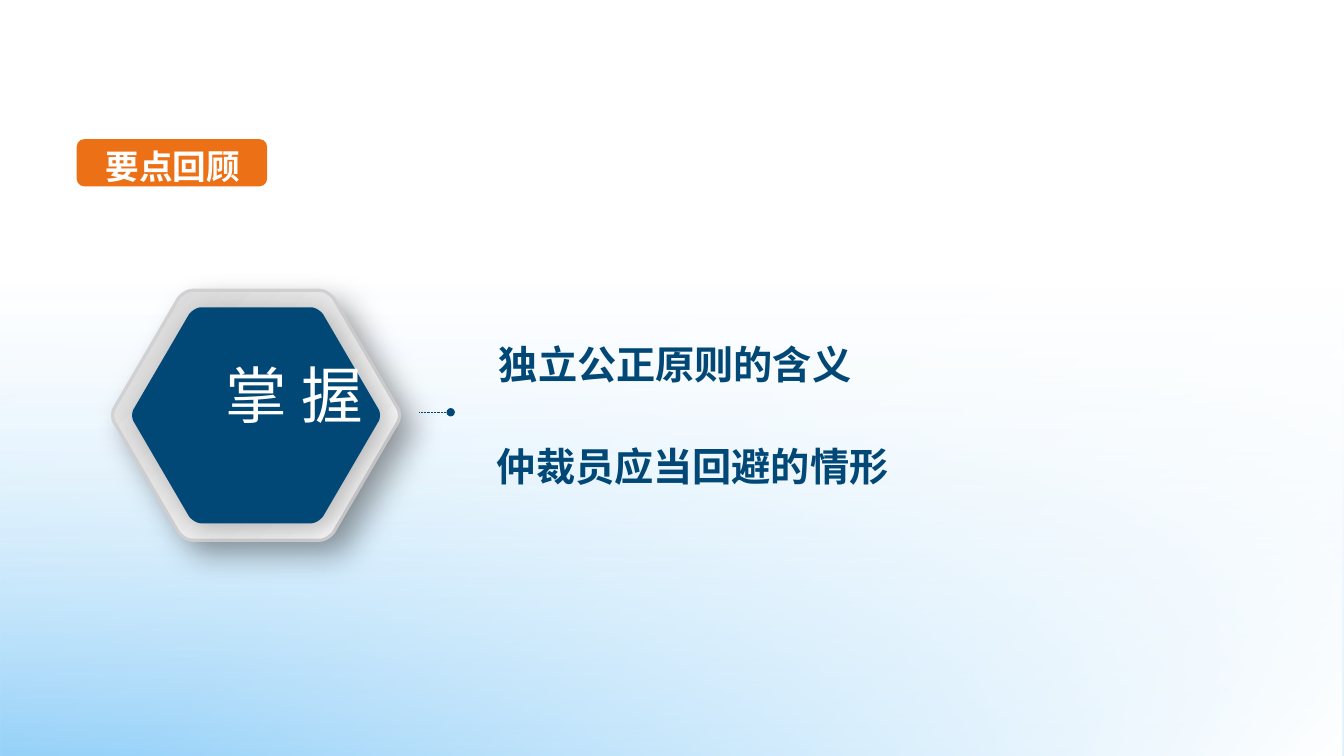
from lxml import etree
from pptx import Presentation
from pptx.dml.color import RGBColor
from pptx.enum.dml import MSO_LINE
from pptx.enum.shapes import MSO_CONNECTOR, MSO_SHAPE
from pptx.enum.text import PP_ALIGN
from pptx.oxml import parse_xml
from pptx.oxml.ns import nsdecls, qn
from pptx.util import Emu, Inches, Pt

RECT, ROUND = MSO_SHAPE.RECTANGLE, MSO_SHAPE.ROUNDED_RECTANGLE
LEFT, CENTER = PP_ALIGN.LEFT, PP_ALIGN.CENTER
WIDTH, HEIGHT = 13.33, 7.5
FONT = "Noto Sans CJK SC"
NAVY, ORANGE, WHITE = "014877", "EC7016", "FFFFFF"

# Content: text, box, size, colour, bold, alignment, line spacing
TEXTS = [
    ("要点回顾", (0.95, 1.36, 2.32, 0.51), 24, WHITE, True, LEFT, 1.1),
    ("掌 握", (2.14, 3.49, 1.71, 0.84), 44, WHITE, False, LEFT, 1.0),
    ("独立公正原则的含义", (4.85, 3.33, 4.3, 0.57), 28, NAVY, True, LEFT, 1.0),
    ("仲裁员应当回避的情形", (4.32, 4.25, 5.1, 0.66), 28, NAVY, True, CENTER, 1.2),
]
# Gradients: angle, then stops of position %, colour, opacity %
WASHES = [
    (90, [(0, WHITE, 0), (37, WHITE, 25), (100, "67BDF6", 88)]),
    (45, [(0, WHITE, 0), (42, WHITE, 25), (100, WHITE, 100)]),
]
SILVER = (45, [(0, "D9D9DA", 100), (100, WHITE, 100)])
TAG_BOX = (0.76, 1.38, 1.89, 0.47)
# Rounded hexagon: centre, and Bezier corners (right, lower right) from the centre
HEX_CENTER = (2.54, 4.12)
RIGHT = [(1.4, -0.08), (1.43, -0.04), (1.43, 0.04), (1.4, 0.08)]
LOWER = [(0.77, 1.16), (0.74, 1.2), (0.68, 1.24), (0.63, 1.24)]
INNER_SCALE = 0.864
POINTER = (4.16, 4.47, 4.09)

prs = Presentation()
prs.slide_width, prs.slide_height = Inches(WIDTH), Inches(HEIGHT)
s = prs.slides.add_slide(prs.slide_layouts[6])


def rgb(value):
    return RGBColor.from_string(value)


def set_gradient(shape, angle, stops):
    gs = "".join(
        f'<a:gs pos="{pos * 1000}"><a:srgbClr val="{color}">'
        f'<a:alpha val="{alpha * 1000}"/></a:srgbClr></a:gs>'
        for pos, color, alpha in stops)
    grad = parse_xml(f'<a:gradFill {nsdecls("a")} rotWithShape="1"><a:gsLst>{gs}</a:gsLst>'
                     f'<a:lin ang="{angle * 60000}" scaled="0"/></a:gradFill>')
    shape.fill.background()
    old = shape.fill._xPr.find(qn("a:noFill"))
    old.getparent().replace(old, grad)


def set_shadow(shape, alpha, blur, dist):
    shape.shadow.inherit = False
    effects = shape.shadow._element.find(qn("a:effectLst"))
    effects.append(parse_xml(
        f'<a:outerShdw {nsdecls("a")} blurRad="{Pt(blur)}" dist="{Pt(dist)}" '
        f'dir="{45 * 60000}" algn="tl" rotWithShape="0"><a:srgbClr val="000000">'
        f'<a:alpha val="{alpha * 1000}"/></a:srgbClr></a:outerShdw>'))


def add_box(kind, box):
    shape = s.shapes.add_shape(kind, *map(Inches, box))
    shape.shadow.inherit = False
    shape.line.fill.background()
    return shape


def curve(corner, steps=8):
    for i in range(steps + 1):
        t = i / steps
        weights = ((1 - t) ** 3, 3 * t * (1 - t) ** 2, 3 * t * t * (1 - t), t ** 3)
        yield tuple(sum(w * pt[axis] for w, pt in zip(weights, corner)) for axis in (0, 1))


def add_hexagon(scale):
    half = [*curve(RIGHT), *curve(LOWER)]
    lower_left = [(-x, y) for x, y in curve(LOWER)][::-1]
    half += lower_left
    # Left and top corners are the right and bottom ones turned by 180 degrees
    ring = half + [(-x, -y) for x, y in half]
    cx, cy = HEX_CENTER
    points = [(Inches(cx + x * scale), Inches(cy + y * scale)) for x, y in ring]
    builder = s.shapes.build_freeform(*points[0])
    builder.add_line_segments(points[1:], close=True)
    return builder.convert_to_shape()


# Background washes
for angle, stops in WASHES:
    set_gradient(add_box(RECT, (0, 0, WIDTH, HEIGHT)), angle, stops)

# Heading tag
tag = add_box(ROUND, TAG_BOX)
tag.fill.solid()
tag.fill.fore_color.rgb = rgb(ORANGE)

# Hexagon badge
frame = add_hexagon(1)
set_gradient(frame, *SILVER)
frame.line.color.rgb = rgb("D2D2D4")
frame.line.width = Pt(2.25)
set_shadow(frame, 35, 22, 13)
face = add_hexagon(INNER_SCALE)
face.fill.solid()
face.fill.fore_color.rgb = rgb(NAVY)
face.line.fill.background()
set_shadow(face, 28, 22, 6)

# Dotted pointer
x1, x2, y = map(Inches, POINTER)
pointer = s.shapes.add_connector(MSO_CONNECTOR.STRAIGHT, x1, y, x2, y)
pointer.line.color.rgb = rgb(NAVY)
pointer.line.width = Pt(0.5)
pointer.line.dash_style = MSO_LINE.ROUND_DOT
etree.SubElement(pointer.line._get_or_add_ln(), qn("a:tailEnd"), type="oval")
etree.SubElement(pointer._element.spPr, qn("a:effectLst"))

# Texts
for text, box, size, color, bold, align, spacing in TEXTS:
    tf = s.shapes.add_textbox(*map(Inches, box)).text_frame
    tf.word_wrap = True
    p = tf.paragraphs[0]
    p.text, p.alignment, p.line_spacing = text, align, spacing
    p.font.name, p.font.size, p.font.bold = FONT, Pt(size), bold
    p.font.color.rgb = rgb(color)
    # East Asian glyphs take their own typeface entry
    r = p.runs[0]
    etree.SubElement(r.font._element, qn("a:ea"), typeface=FONT)

prs.save("out.pptx")
